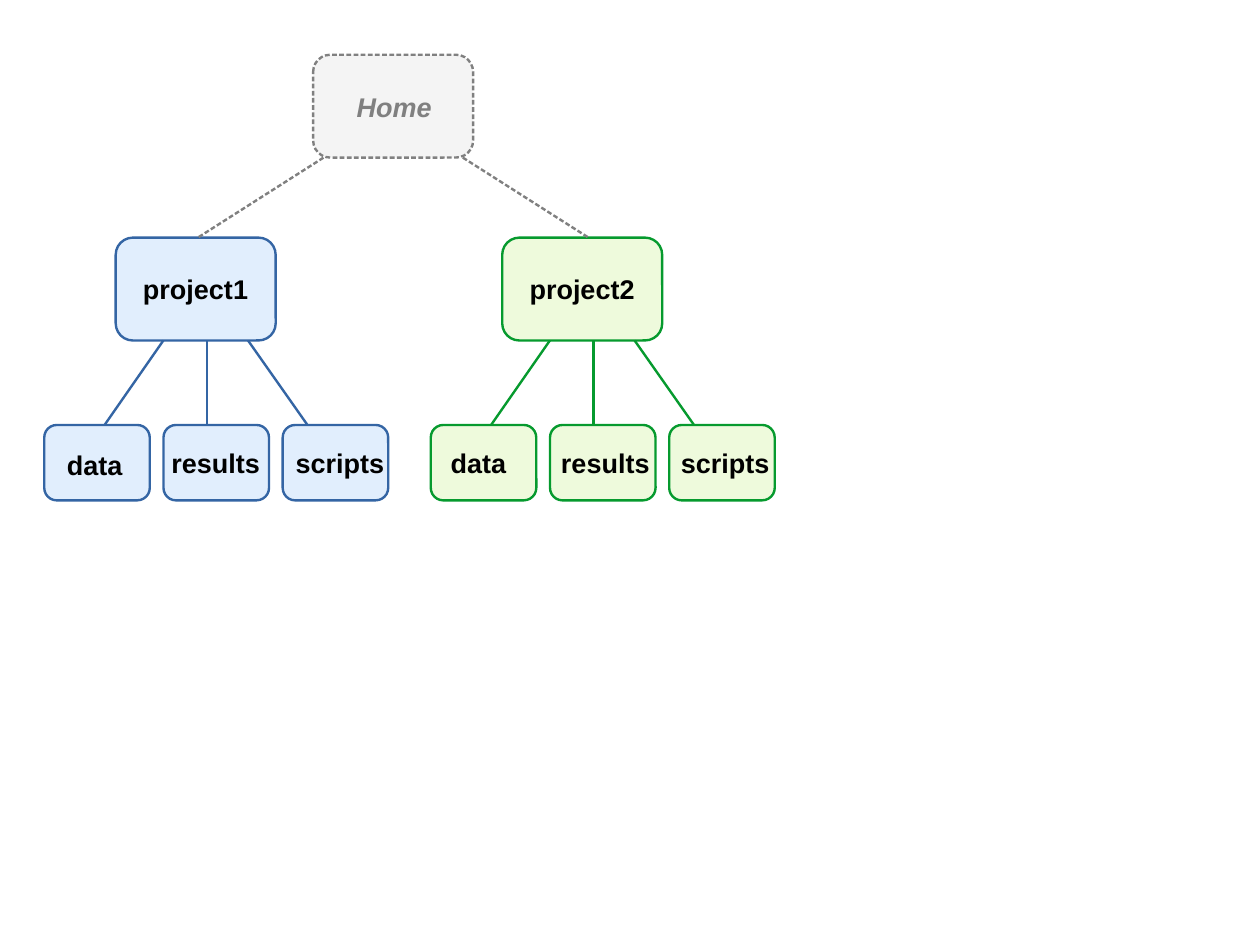
from lxml import etree
from pptx import Presentation
from pptx.dml.color import RGBColor
from pptx.enum.shapes import MSO_CONNECTOR, MSO_SHAPE
from pptx.enum.text import PP_ALIGN
from pptx.oxml.ns import qn
from pptx.util import Pt

GREY, BLUE, GREEN = "808080", "3465A4", "069A2E"
NODE_W, NODE_H = 100.8, 64.8
LEAF_W, LEAF_H, LEAF_STEP = 66.5, 47.5, 75.1
HOME_Y, PROJECT_Y, LEAF_Y = 34.5, 149.7, 267.7
# Branch ends, measured from the left edge of the project box
BRANCHES = [(30, -7), (57.4, 57.4), (83.4, 120.8)]


def color(hex_code):
    return RGBColor.from_string(hex_code)


def style_line(shape, hex_code, dashed):
    shape.line.color.rgb = color(hex_code)
    shape.line.width = Pt(1.5)
    if dashed:
        ln = shape._element.spPr.find(qn("a:ln"))
        dash = etree.SubElement(ln, qn("a:custDash"))
        etree.SubElement(dash, qn("a:ds"), d="200000", sp="100000")


def add_box(s, x, y, w, h, fill, outline, dashed=False):
    sp = s.shapes.add_shape(MSO_SHAPE.ROUNDED_RECTANGLE, Pt(x), Pt(y), Pt(w), Pt(h))
    sp.shadow.inherit = False
    sp.fill.solid()
    sp.fill.fore_color.rgb = color(fill)
    style_line(sp, outline, dashed)


def add_branch(s, x1, y1, x2, y2, hex_code, dashed=False):
    c = s.shapes.add_connector(MSO_CONNECTOR.STRAIGHT, Pt(x1), Pt(y1), Pt(x2), Pt(y2))
    style_line(c, hex_code, dashed)
    etree.SubElement(c._element.spPr, qn("a:effectLst"))


def add_label(s, text, x, y, w, hex_code="000000", italic=False, align=PP_ALIGN.LEFT):
    tf = s.shapes.add_textbox(Pt(x), Pt(y), Pt(w), Pt(27)).text_frame
    tf.word_wrap = True
    tf.margin_right = 0
    p = tf.paragraphs[0]
    p.text = text
    p.alignment = align
    font = p.font
    font.name, font.size, font.bold, font.italic = "Arial", Pt(17), True, italic
    font.color.rgb = color(hex_code)


def add_project(s, name, x, fill, outline, leaves):
    add_box(s, x, PROJECT_Y, NODE_W, NODE_H, fill, outline)
    add_label(s, name, x + 10.1, PROJECT_Y + 18.7, 82.8)
    for start, end in BRANCHES:
        add_branch(s, x + start, PROJECT_Y + NODE_H, x + end, LEAF_Y, outline)
    for i, (leaf, dx, dy) in enumerate(leaves):
        left = x - 45 + i * LEAF_STEP
        add_box(s, left, LEAF_Y, LEAF_W, LEAF_H, fill, outline)
        add_label(s, leaf, left + dx, LEAF_Y + dy, 70.6)


def main():
    prs = Presentation()
    prs.slide_width, prs.slide_height = Pt(793.75), Pt(595.25)
    s = prs.slides.add_slide(prs.slide_layouts[6])

    # Home folder
    add_box(s, 197.3, HOME_Y, NODE_W, NODE_H, "F4F4F4", GREY, dashed=True)
    add_label(s, "Home", 213.8, HOME_Y + 18.7, 61.9, GREY, True, PP_ALIGN.CENTER)

    # Projects with their subfolders: name, label offset right and down
    add_project(s, "project1", 72.9, "E1EEFD", BLUE,
                [("data", 7.2, 11.2), ("results", -2.2, 10.2), ("scripts", 1, 9.8)])
    add_project(s, "project2", 316.4, "EEFADC", GREEN,
                [("data", 5.4, 9.8), ("results", -0.2, 9.8), ("scripts", 0.2, 9.8)])

    # Links from Home to the projects
    for x1, x2 in [(203.8, 124.6), (291.6, 370.8)]:
        add_branch(s, x1, HOME_Y + NODE_H, x2, PROJECT_Y, GREY, dashed=True)

    prs.save("out.pptx")


if __name__ == "__main__":
    main()
